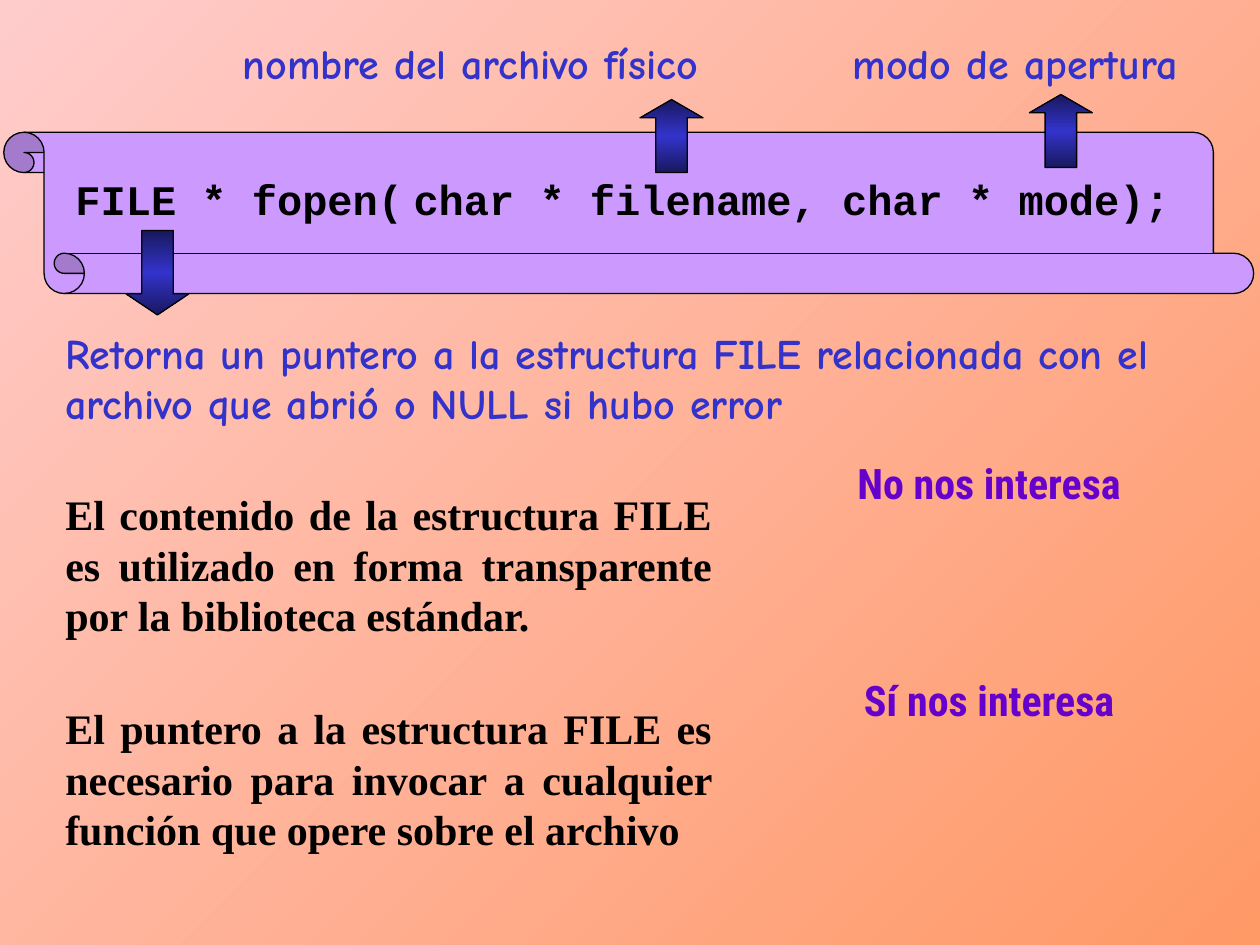
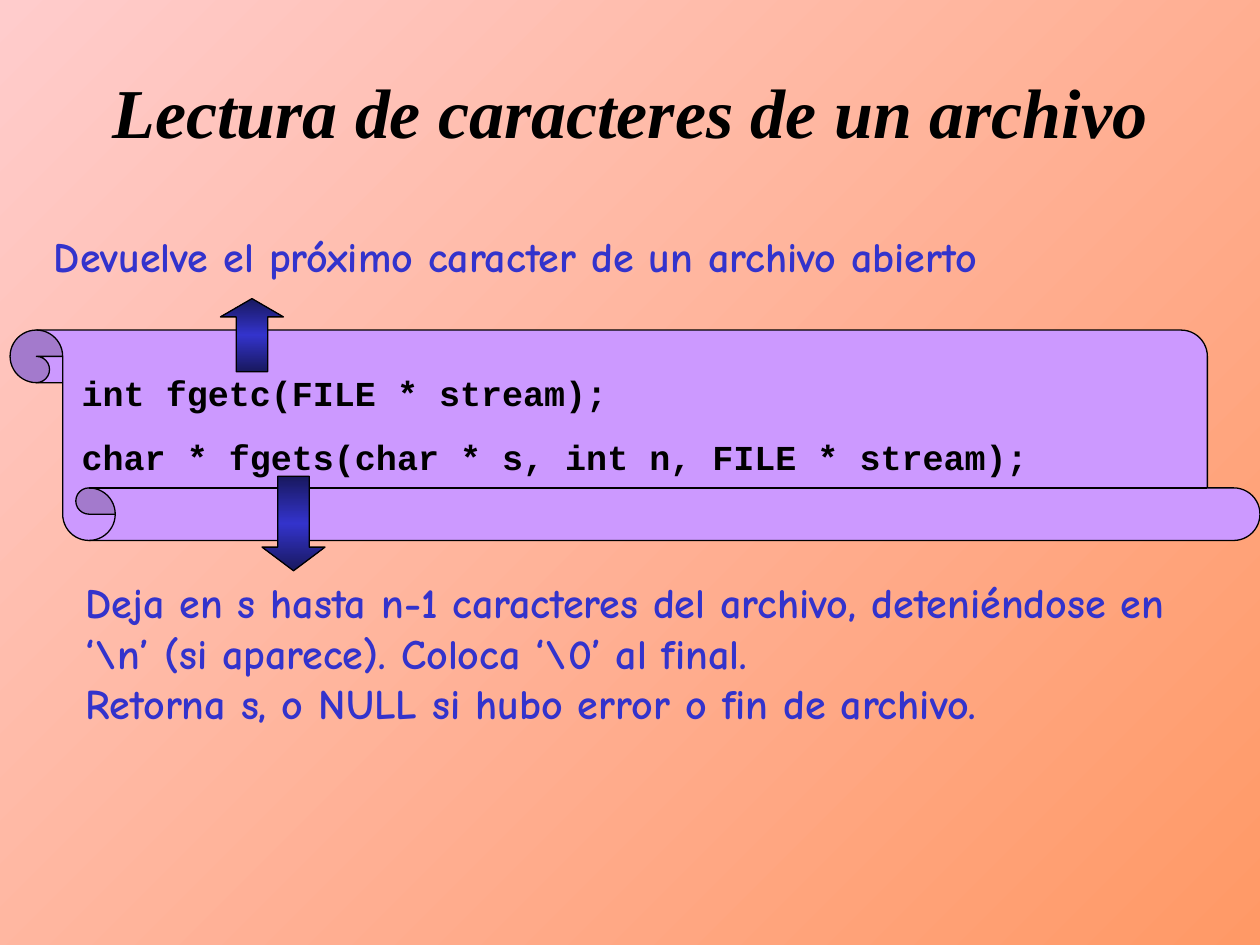
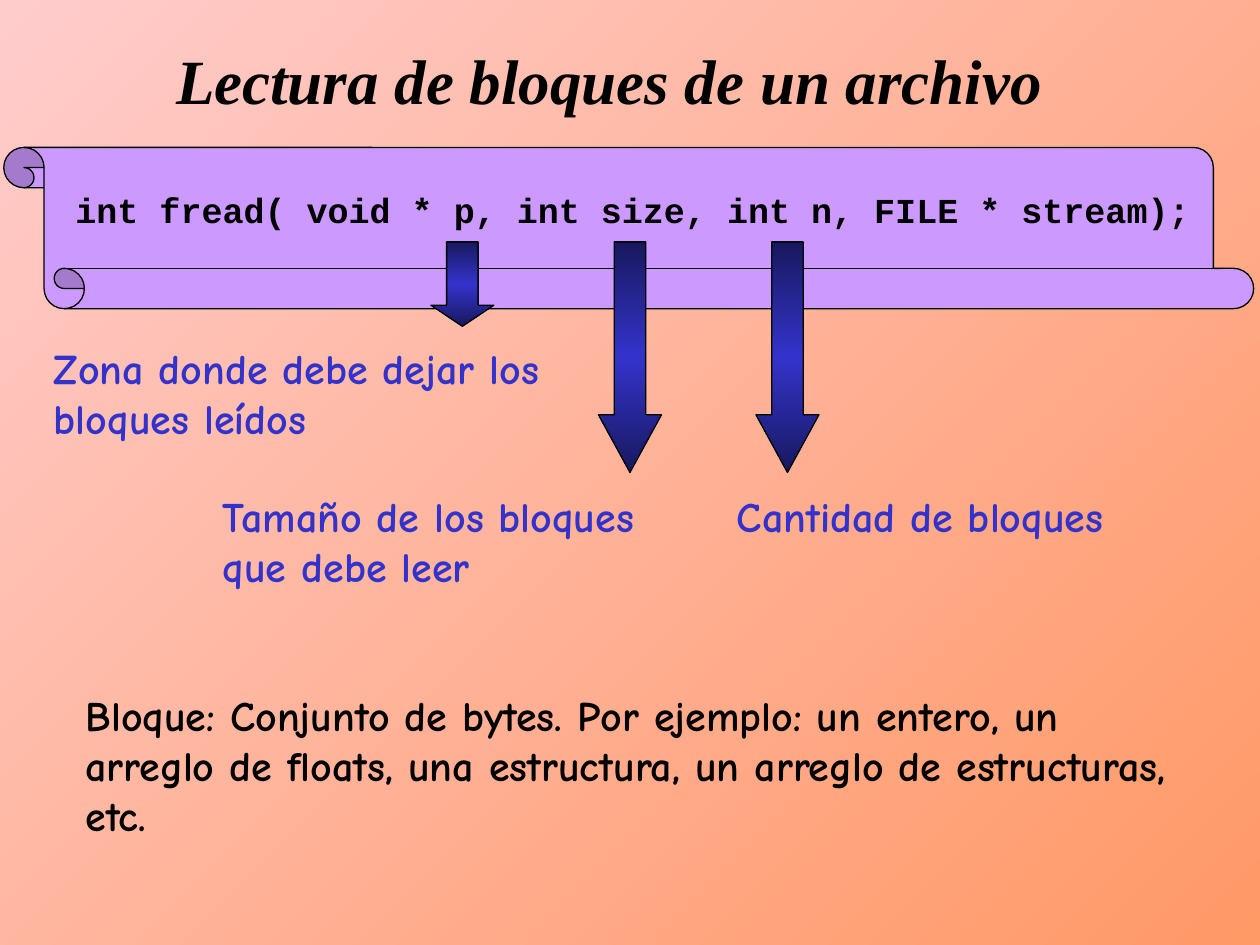
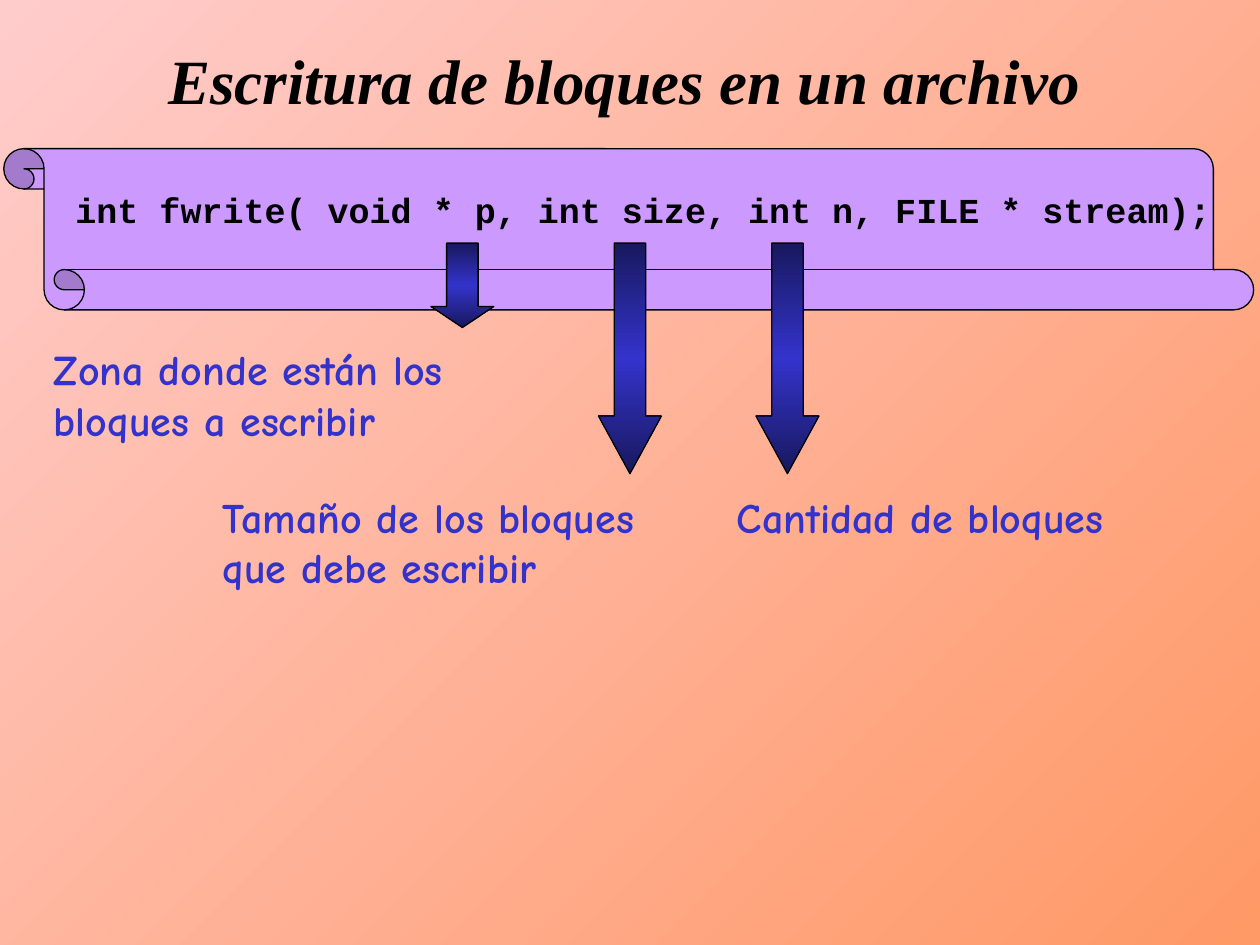
"""Build four slides on reading and writing files in C."""
from copy import deepcopy
from dataclasses import dataclass

from lxml import etree
from pptx import Presentation
from pptx.dml import color
from pptx.enum import shapes, text
from pptx.oxml import ns
from pptx.util import Inches, Pt

COLORS = {
    "black": "000000",
    "bg_light": "FFCCCC",
    "bg_dark": "FF9966",
    "scroll": "CC99FF",
    "note": "3333CC",
    "arrow_edge": "18185E",
    "art_top": "6600CC",
    "art_bottom": "CC00CC",
}
ARROW_WIDTH = 0.5


@dataclass(frozen=True)
class Style:
    font: str
    size: float
    color: str = "black"
    italic: bool = False
    align: text.PP_ALIGN = text.PP_ALIGN.LEFT
    gap: float = 0


@dataclass(frozen=True)
class Box:
    left: float
    top: float
    width: float
    height: float

    def emu(self) -> list:
        return [Inches(v) for v in (self.left, self.top, self.width, self.height)]


@dataclass(frozen=True)
class Arrow:
    left: float
    top: float
    height: float
    up: bool = False


SERIF = "Times New Roman"
BIG_TITLE = Style(SERIF, 40, italic=True, align=text.PP_ALIGN.CENTER)
TITLE = Style(SERIF, 36, italic=True, align=text.PP_ALIGN.CENTER)
BODY = Style(SERIF, 24, align=text.PP_ALIGN.JUSTIFY)
NOTE = Style("Comic Neue", 24, "note")
DEFINITION = Style("Comic Neue", 24)
CODE = Style("Courier New", 20, gap=12.5)
BIG_CODE = Style("Courier New", 24)
ART = Style("Roboto Condensed", 24, "art_top", align=text.PP_ALIGN.CENTER)


def rgb(name: str) -> color.RGBColor:
    return color.RGBColor.from_string(COLORS[name])


def fill_gradient(fill, element, names: list[str], angle: float) -> None:
    fill.gradient()
    stops = element.find(".//" + ns.qn("a:gsLst"))
    for _ in names[2:]:
        stops.append(deepcopy(stops[0]))
    for i, (stop, name) in enumerate(zip(fill.gradient_stops, names)):
        stop.color.rgb = rgb(name)
        stop.position = i / (len(names) - 1)
    fill.gradient_angle = 360 - angle


def format_run(r, style: Style) -> None:
    r.font.name = style.font
    r.font.size = Pt(style.size)
    r.font.bold = True
    r.font.italic = style.italic
    r.font.color.rgb = rgb(style.color)


def add_text(s, box: Box, style: Style, *lines: str):
    tf = s.shapes.add_textbox(*box.emu()).text_frame
    tf.word_wrap = True
    for i, line in enumerate(lines):
        p = tf.add_paragraph() if i else tf.paragraphs[0]
        p.text = line
        p.alignment = style.align
        if i:
            p.space_before = Pt(style.gap)
        format_run(p.runs[0], style)
    return tf


def add_title(s, box: Box, style: Style, title: str) -> None:
    tf = add_text(s, box, style, title)
    tf.vertical_anchor = text.MSO_ANCHOR.MIDDLE


def add_art(s, top: float, words: str) -> None:
    tf = add_text(s, Box(6.25, top, 3.2, 1.41), ART, words)
    tf.word_wrap = False
    r = tf.paragraphs[0].runs[0]
    fill_gradient(r.font.fill, r._r, ["art_top", "art_bottom"], 90)
    ln = etree.Element(ns.qn("a:ln"), w=str(Pt(0.75)))
    solid = etree.SubElement(ln, ns.qn("a:solidFill"))
    etree.SubElement(solid, ns.qn("a:srgbClr"), val=COLORS["scroll"])
    r._r.get_or_add_rPr().insert(0, ln)


def add_outlined(s, kind: shapes.MSO_SHAPE, box: Box, flip: bool):
    sp = s.shapes.add_shape(kind, *box.emu())
    sp.shadow.inherit = False
    sp.line.color.rgb = rgb("black")
    sp.line.width = Pt(0.75)
    if flip:
        sp._element.spPr.xfrm.set("flipV", "1")
    return sp


def add_scroll(s, left: float, top: float, height: float) -> None:
    box = Box(left, top, 9.92, height)
    sp = add_outlined(s, shapes.MSO_SHAPE.VERTICAL_SCROLL, box, True)
    sp.adjustments[0] = 0.25
    sp.fill.solid()
    sp.fill.fore_color.rgb = rgb("scroll")


def add_arrow(s, arrow: Arrow) -> None:
    box = Box(arrow.left, arrow.top, ARROW_WIDTH, arrow.height)
    sp = add_outlined(s, shapes.MSO_SHAPE.DOWN_ARROW, box, arrow.up)
    sp.adjustments[0] = 0.5
    sp.adjustments[1] = arrow.height / 4 / ARROW_WIDTH
    fill_gradient(sp.fill, sp._element, ["arrow_edge", "note", "arrow_edge"], 90)


def new_slide(prs):
    return prs.slides.add_slide(prs.slide_layouts[6])


def fopen_slide(prs) -> None:
    s = new_slide(prs)
    add_scroll(s, 0.03, 1.05, 1.28)
    p = add_text(s, Box(0.5, 1.33, 9.25, 0.5), BIG_CODE, "FILE * fopen(").paragraphs[0]
    for words in (" ", "char * filename, char * mode);"):
        r = p.add_run()
        r.text = words
        format_run(r, BIG_CODE)
    p.runs[1].font.size = Pt(10)
    add_text(s, Box(1.83, 0.25, 4.33, 0.5), NOTE, "nombre del archivo físico")
    add_text(s, Box(6.67, 0.25, 3.08, 0.5), NOTE, "modo de apertura")
    add_text(s, Box(0.42, 2.55, 9.17, 0.9), NOTE,
             "Retorna un puntero a la estructura FILE relacionada con el "
             "archivo que abrió o NULL si hubo error")
    for arrow in (Arrow(5.08, 0.79, 0.58, True), Arrow(8.17, 0.75, 0.58, True),
                  Arrow(1, 1.83, 0.67)):
        add_arrow(s, arrow)
    add_text(s, Box(0.42, 3.83, 5.33, 1.3), BODY,
             "El contenido de la estructura FILE es utilizado en forma "
             "transparente por la biblioteca estándar.")
    add_text(s, Box(0.42, 5.53, 5.33, 1.3), BODY,
             "El puntero a la estructura FILE es necesario para invocar a "
             "cualquier función que opere sobre el archivo")
    add_art(s, 3.58, "No nos interesa")
    add_art(s, 5.3, "Sí nos interesa")


def characters_slide(prs) -> None:
    s = new_slide(prs)
    add_title(s, Box(0.75, 0.67, 8.5, 0.42), BIG_TITLE,
              "Lectura de caracteres de un archivo")
    add_scroll(s, 0.08, 2.62, 1.67)
    add_text(s, Box(0.55, 2.9, 9.25, 0.94), CODE, "int fgetc(FILE * stream);",
             "char * fgets(char * s, int n, FILE * stream);")
    add_text(s, Box(0.33, 1.78, 8.58, 0.5), NOTE,
             "Devuelve el próximo caracter de un archivo abierto")
    add_arrow(s, Arrow(1.75, 2.37, 0.58, True))
    add_text(s, Box(0.58, 4.53, 9.08, 1.3), NOTE,
             r"Deja en s hasta n-1 caracteres del archivo, deteniéndose en "
             r"‘\n’ (si aparece). Coloca ‘\0’ al final.",
             "Retorna s, o NULL si hubo error o fin de archivo.")
    add_arrow(s, Arrow(2.08, 3.78, 0.75))


def blocks_slide(prs, title: str, title_box: Box, code: str, zone: str,
                 size: str, top: float):
    s = new_slide(prs)
    add_title(s, title_box, TITLE, title)
    add_scroll(s, 0.03, top, 1.28)
    add_text(s, Box(0.5, 1.45, 9.25, 0.44), CODE, code)
    add_text(s, Box(0.33, top + 1.5, 4.17, 0.9), NOTE, zone)
    add_text(s, Box(1.67, top + 2.67, 4, 0.9), NOTE, size)
    add_text(s, Box(5.75, top + 2.67, 3.92, 0.5), NOTE, "Cantidad de bloques")
    for left, height in ((3.42, 0.67), (4.75, 1.83), (6, 1.83)):
        add_arrow(s, Arrow(left, top + 0.75, height))
    return s


def main() -> None:
    prs = Presentation()
    prs.slide_width, prs.slide_height = Inches(10), Inches(7.5)
    master = prs.slide_master
    fill_gradient(master.background.fill, master._element, ["bg_light", "bg_dark"], 45)
    fopen_slide(prs)
    characters_slide(prs)
    s = blocks_slide(prs, "Lectura de bloques de un archivo", Box(0.42, 0.42, 8.83, 0.42),
                     "int fread( void * p, int size, int n, FILE * stream);",
                     "Zona donde debe dejar los bloques leídos",
                     "Tamaño de los bloques que debe leer", 1.17)
    add_text(s, Box(0.58, 5.42, 8.92, 1.3), DEFINITION,
             "Bloque: Conjunto de bytes. Por ejemplo: un entero, un arreglo de "
             "floats, una estructura, un arreglo de estructuras, etc.")
    blocks_slide(prs, "Escritura de bloques en un archivo", Box(0.33, 0.42, 9.25, 0.42),
                 "int fwrite( void * p, int size, int n, FILE * stream);",
                 "Zona donde están los bloques a escribir",
                 "Tamaño de los bloques que debe escribir", 1.18)
    prs.save("out.pptx")


if __name__ == "__main__":
    main()
